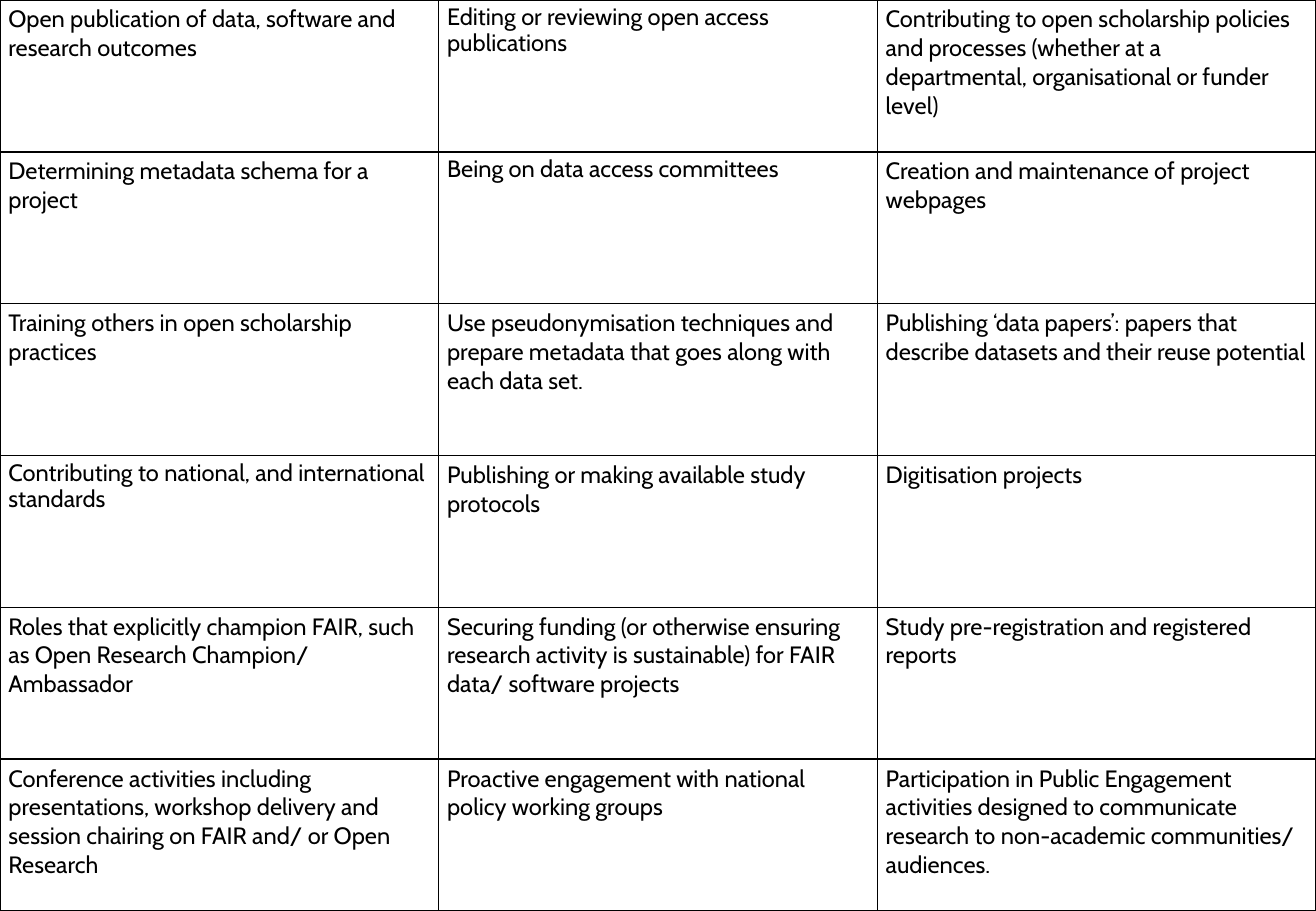
"""Build a full-page grid of open scholarship activities."""
from dataclasses import dataclass

from lxml.etree import SubElement
from pptx import Presentation
from pptx.dml.color import RGBColor
from pptx.oxml.ns import qn
from pptx.table import _Cell
from pptx.util import Pt

BLACK = RGBColor(0, 0, 0)
FONT = "Cabin"
TEXT_SIZE = Pt(14)
BORDER_WIDTH = Pt(1)
PAGE_WIDTH, PAGE_HEIGHT = Pt(780), Pt(540)
SIDE_MARGIN, EDGE_MARGIN = Pt(5), Pt(3)


@dataclass(frozen=True)
class Activity:
    """An activity card, set tighter when its text is a list item."""
    text: str
    tight: bool = False


ACTIVITIES = [
    [
        Activity("Open publication of data, software and research outcomes"),
        Activity("Editing or reviewing open access publications", tight=True),
        Activity("Contributing to open scholarship policies and processes "
                 "(whether at a departmental, organisational or funder level)"),
    ],
    [
        Activity("Determining metadata schema for a project"),
        Activity("Being on data access committees", tight=True),
        Activity("Creation and maintenance of project webpages"),
    ],
    [
        Activity("Training others in open scholarship practices"),
        Activity("Use pseudonymisation techniques and prepare metadata "
                 "that goes along with each data set."),
        Activity("Publishing ‘data papers’: papers that describe datasets "
                 "and their reuse potential"),
    ],
    [
        Activity("Contributing to national, and international standards", tight=True),
        Activity("Publishing or making available study protocols"),
        Activity("Digitisation projects"),
    ],
    [
        Activity("Roles that explicitly champion FAIR, such as "
                 "Open Research Champion/ Ambassador"),
        Activity("Securing funding (or otherwise ensuring research activity "
                 "is sustainable) for FAIR data/ software projects"),
        Activity("Study pre-registration and registered reports"),
    ],
    [
        Activity("Conference activities including presentations, workshop delivery "
                 "and session chairing on FAIR and/ or Open Research"),
        Activity("Proactive engagement with national policy working groups"),
        Activity("Participation in Public Engagement activities designed to communicate "
                 "research to non-academic communities/ audiences."),
    ],
]


def draw_borders(cell: _Cell) -> None:
    """Outline all four sides of a cell."""
    properties = cell._tc.get_or_add_tcPr()
    for side in ("lnL", "lnR", "lnT", "lnB"):
        line = SubElement(properties, qn(f"a:{side}"), w=str(BORDER_WIDTH))
        fill = SubElement(line, qn("a:solidFill"))
        SubElement(fill, qn("a:srgbClr"), val=str(BLACK))


def fill_cell(cell: _Cell, activity: Activity) -> None:
    """Format a cell and write its activity."""
    cell.margin_left = cell.margin_right = SIDE_MARGIN
    cell.margin_top = cell.margin_bottom = EDGE_MARGIN
    draw_borders(cell)
    cell.fill.background()
    para = cell.text_frame.paragraphs[0]
    if activity.tight:
        para.line_spacing = 0.9
        para.space_after = Pt(2)
    span = para.add_run()
    span.text = activity.text
    span.font.name = FONT
    span.font.size = TEXT_SIZE
    span.font.color.rgb = BLACK


def main() -> None:
    """Create the deck and save it."""
    deck = Presentation()
    deck.slide_width, deck.slide_height = PAGE_WIDTH, PAGE_HEIGHT
    page = deck.slides.add_slide(deck.slide_layouts[6])
    table = page.shapes.add_table(
        len(ACTIVITIES), len(ACTIVITIES[0]), Pt(0), Pt(0), PAGE_WIDTH, PAGE_HEIGHT
    ).table
    table.first_row = table.horz_banding = False
    for row_index, row in enumerate(ACTIVITIES):
        for column_index, activity in enumerate(row):
            fill_cell(table.cell(row_index, column_index), activity)
    deck.save("out.pptx")


if __name__ == "__main__":
    main()
